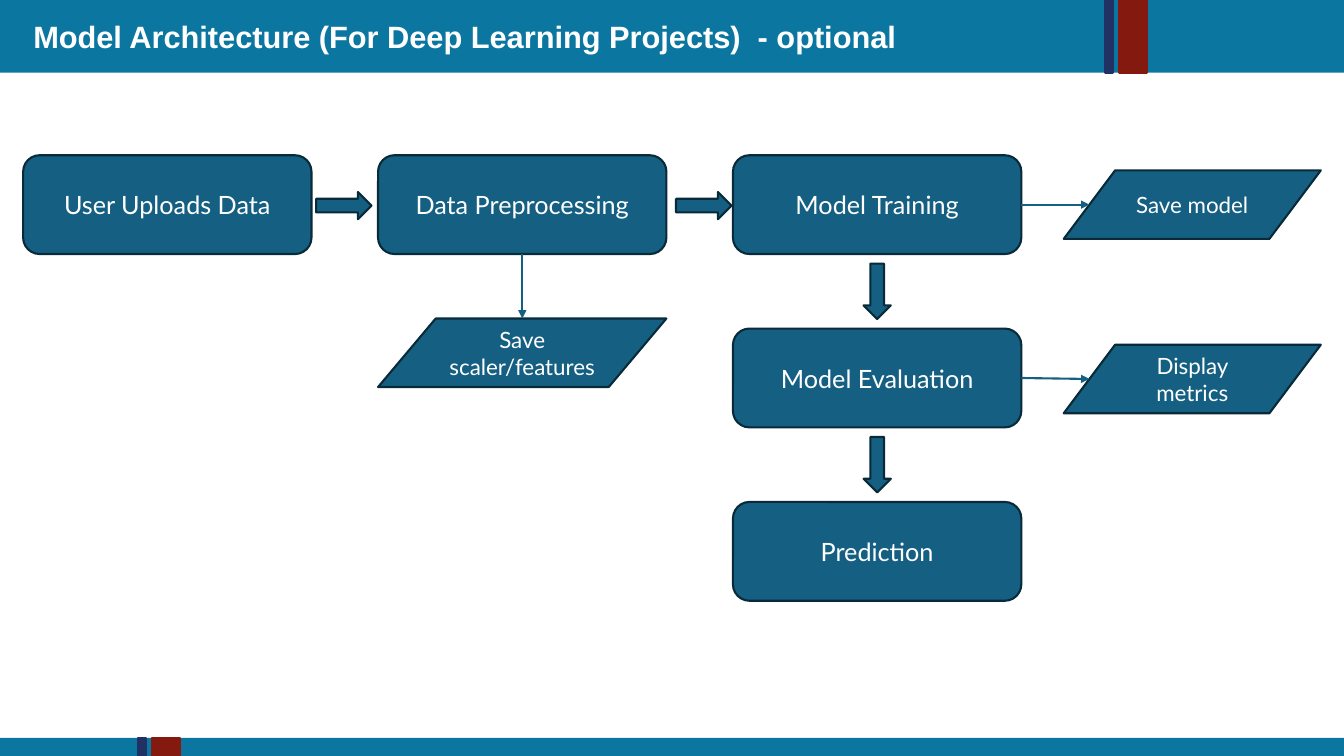
from pptx import Presentation
from pptx.dml.color import RGBColor
from pptx.enum.shapes import MSO_CONNECTOR, MSO_SHAPE
from pptx.enum.text import MSO_ANCHOR, MSO_AUTO_SIZE, PP_ALIGN
from pptx.oxml.ns import qn
from pptx.util import Inches, Pt
from lxml import etree

RECTANGLE = MSO_SHAPE.RECTANGLE
ROUNDED = MSO_SHAPE.ROUNDED_RECTANGLE
DATA = MSO_SHAPE.FLOWCHART_DATA
BLOCK_ARROW = MSO_SHAPE.RIGHT_ARROW
STRAIGHT = MSO_CONNECTOR.STRAIGHT
TOP, MIDDLE = MSO_ANCHOR.TOP, MSO_ANCHOR.MIDDLE
LEFT, CENTER = PP_ALIGN.LEFT, PP_ALIGN.CENTER
NO_AUTOFIT = MSO_AUTO_SIZE.NONE
BOTTOM_SIDE, RIGHT_SIDE = 2, 3

BAND, NAVY, RED = "0B76A0", "213163", "841910"
STEP_FILL, STEP_EDGE, WHITE = "156082", "092A39", "FFFFFF"
TITLE_FONT = {"name": "Arial", "size": Pt(22), "bold": True}
STEP_FONT = {"name": "Lato", "size": Pt(18)}
OUTPUT_FONT = {"name": "Lato", "size": Pt(16)}

SLIDE_W, SLIDE_H = 13.33, 7.5
STEP_W, STEP_H = 2.86, 0.98
COLUMN_PITCH, ROW_PITCH = 3.52, 1.72
ARROW_W, ARROW_H = 0.55, 0.27
OUTPUT_H = 0.68


def rgb(value):
    """Turn a hex string into a colour."""
    return RGBColor.from_string(value)


def set_text(frame, text, font_format, align, anchor):
    """Write one formatted white paragraph into a text frame."""
    frame.text = text
    frame.word_wrap = True
    frame.vertical_anchor = anchor
    paragraph = frame.paragraphs[0]
    paragraph.alignment = align
    font = paragraph.runs[0].font
    for attribute, value in font_format.items():
        setattr(font, attribute, value)
    font.color.rgb = rgb(WHITE)


def add_block(slide, kind, box, fill, edge=None):
    """Add a flat preset shape, outlined when an edge colour is given."""
    block = slide.shapes.add_shape(kind, *map(Inches, box))
    block.shadow.inherit = False
    block.fill.solid()
    block.fill.fore_color.rgb = rgb(fill)
    if edge:
        block.line.color.rgb = rgb(edge)
        block.line.width = Pt(1.5)
    else:
        block.line.fill.background()
    return block


def add_band(slide, box, stripe_left):
    """Draw a full-width band with its navy and red stripes."""
    left, top, _, height = box
    add_block(slide, RECTANGLE, box, BAND)
    for offset, width, color in ((0, 0.08, NAVY), (0.14, 0.28, RED)):
        stripe = (left + stripe_left + offset, top, width, height)
        add_block(slide, RECTANGLE, stripe, color, color)


def add_title(slide, box, text):
    """Place the title placeholder in front of the header band."""
    title = slide.shapes.title
    title.left, title.top, title.width, title.height = map(Inches, box)
    set_text(title.text_frame, text, TITLE_FONT, LEFT, TOP)
    title.text_frame.auto_size = NO_AUTOFIT
    title.element.getparent().append(title.element)


def add_node(slide, kind, box, text, font_format):
    """Add a labelled flowchart node."""
    node = add_block(slide, kind, box, STEP_FILL, STEP_EDGE)
    set_text(node.text_frame, text, font_format, CENTER, MIDDLE)
    return node


def add_block_arrow(slide, center_x, center_y, rotation=0):
    """Add a block arrow around a centre point."""
    box = (center_x - ARROW_W / 2, center_y - ARROW_H / 2, ARROW_W, ARROW_H)
    arrow = add_block(slide, BLOCK_ARROW, box, STEP_FILL, STEP_EDGE)
    arrow.rotation = rotation


def add_output(slide, step, side, box, text):
    """Add an output node and the arrow leading to it from a step."""
    left, top, width, height = box
    add_node(slide, DATA, box, text, OUTPUT_FONT)
    if side == BOTTOM_SIDE:
        end = (left + width / 2, top)
    else:
        end = (left + width / 10, top + height / 2)
    link = slide.shapes.add_connector(STRAIGHT, 0, 0, *map(Inches, end))
    link.begin_connect(step, side)
    link.line.color.rgb = rgb(STEP_FILL)
    link.line.width = Pt(1.5)
    etree.SubElement(link.line._get_or_add_ln(), qn("a:tailEnd"), type="triangle")
    etree.SubElement(link.element.spPr, qn("a:effectLst"))


def add_flowchart(slide, left, top):
    """Lay out the pipeline steps, arrows and outputs from a top-left corner."""
    cells = {
        "User Uploads Data": (0, 0),
        "Data Preprocessing": (1, 0),
        "Model Training": (2, 0),
        "Model Evaluation": (2, 1),
        "Prediction": (2, 2),
    }
    steps = {}
    for text, (column, row) in cells.items():
        box = (left + column * COLUMN_PITCH, top + row * ROW_PITCH, STEP_W, STEP_H)
        steps[text] = add_node(slide, ROUNDED, box, text, STEP_FONT)

    last_column = left + 2 * COLUMN_PITCH
    for index in range(2):
        add_block_arrow(slide, left + 3.18 + index * 3.57, top + STEP_H / 2 + 0.01)
        gap_middle = top + index * ROW_PITCH + (STEP_H + ROW_PITCH) / 2
        add_block_arrow(slide, last_column + STEP_W / 2, gap_middle, 90)

    scaler_box = (left + COLUMN_PITCH, top + 1.62, STEP_W, OUTPUT_H)
    add_output(slide, steps["Data Preprocessing"], BOTTOM_SIDE, scaler_box,
               "Save scaler/features")
    outputs = (("Model Training", "Save model"), ("Model Evaluation", "Display metrics"))
    for row, (step, text) in enumerate(outputs):
        box = (left + 10.32, top + 0.15 + row * 1.73, 2.55, OUTPUT_H)
        add_output(slide, steps[step], RIGHT_SIDE, box, text)


def main():
    """Build and save the slide."""
    deck = Presentation()
    deck.slide_width, deck.slide_height = Inches(SLIDE_W), Inches(SLIDE_H)
    slide = deck.slides.add_slide(deck.slide_layouts.get_by_name("Title Only"))
    add_band(slide, (0, 0, SLIDE_W, 0.72), 10.96)
    add_band(slide, (0, 7.32, SLIDE_W, 0.18), 1.37)
    add_title(slide, (0.23, 0.13, 12.88, 0.43),
              "Model Architecture (For Deep Learning Projects)  - optional")
    add_flowchart(slide, 0.23, 1.54)
    deck.save("out.pptx")


if __name__ == "__main__":
    main()
